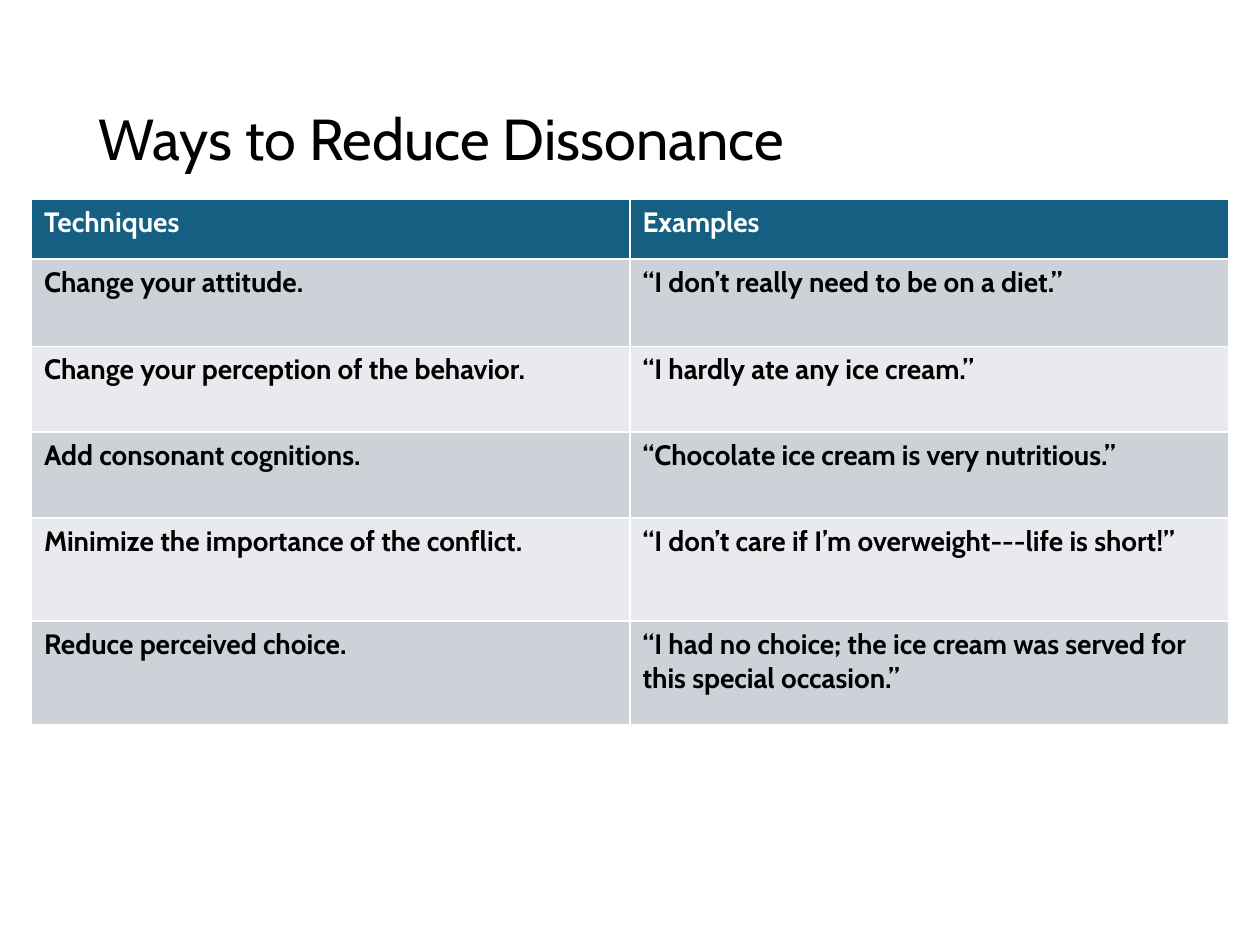
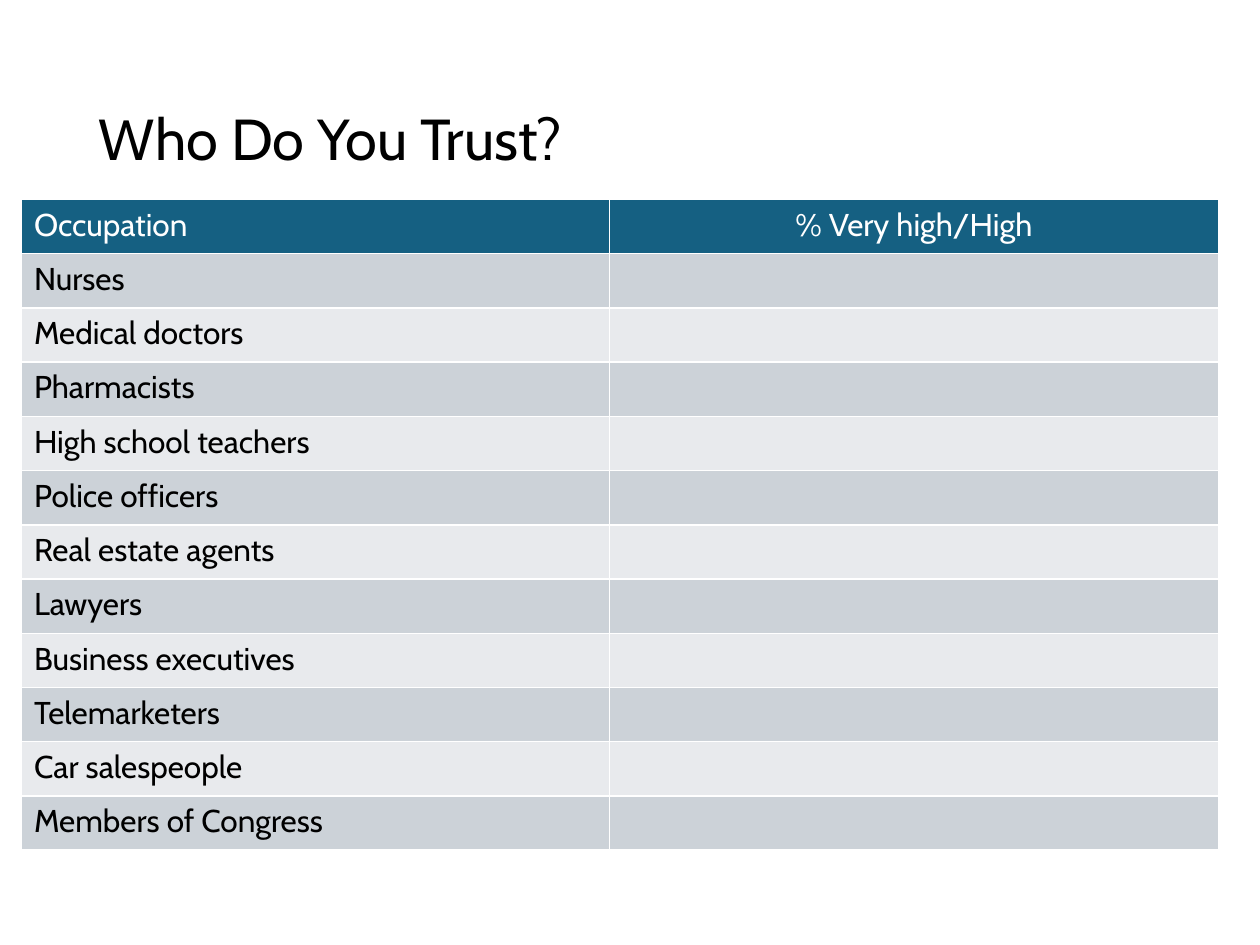
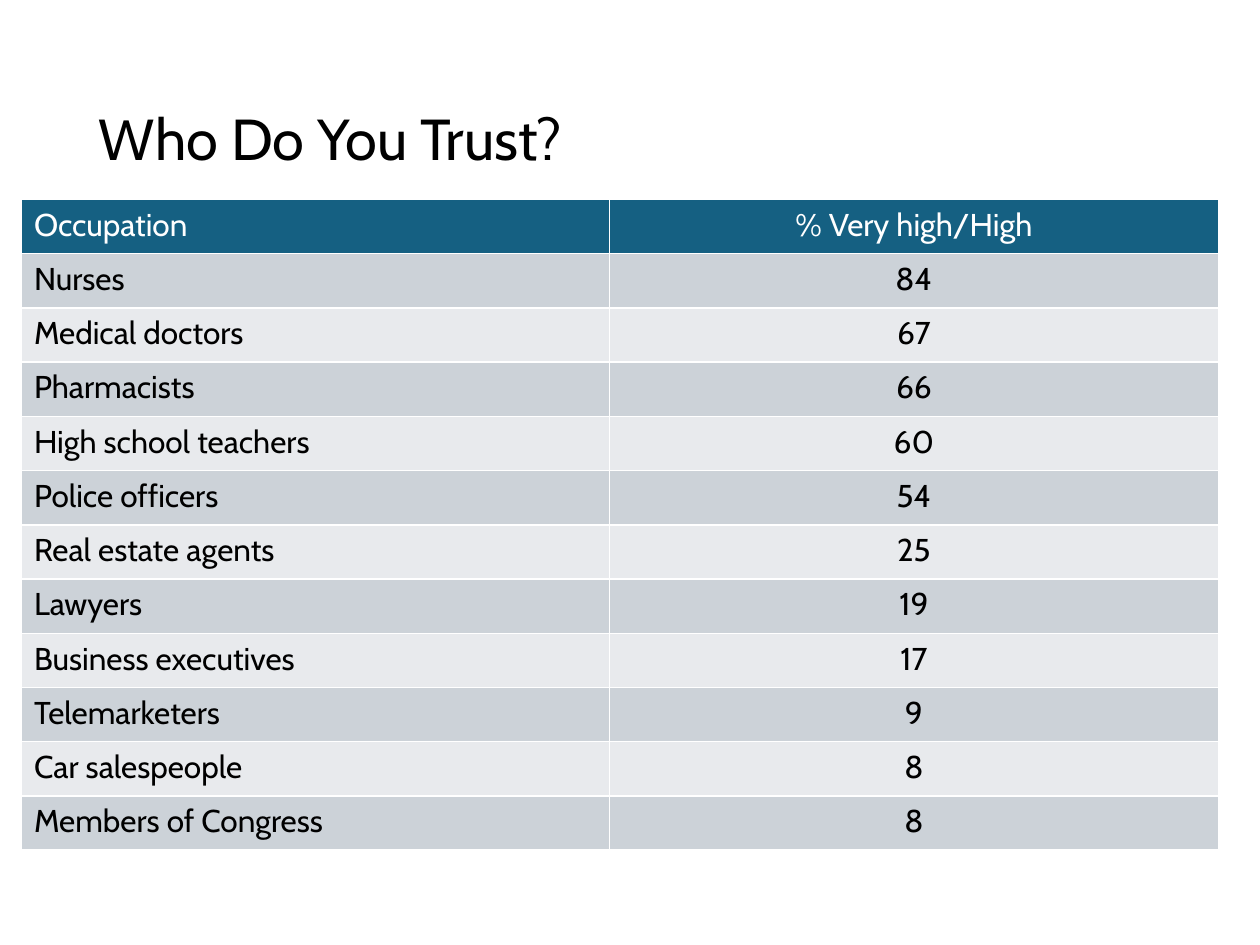
from dataclasses import dataclass

from pptx import Presentation
from pptx.dml.color import RGBColor
from pptx.enum.text import MSO_ANCHOR, PP_ALIGN
from pptx.util import Pt

LEFT, CENTER = PP_ALIGN.LEFT, PP_ALIGN.CENTER
MIDDLE = MSO_ANCHOR.MIDDLE

BLACK, WHITE = "000000", "FFFFFF"
HEADER_FILL = "156082"
BAND_FILLS = ("CCD2D8", "E8EAED")
TITLE_FORMAT = {"name": "Cabin", "size": Pt(33), "bold": False}
TECHNIQUE_FORMAT = {"name": "Cabin", "size": Pt(16), "bold": True}
TRUST_FORMAT = {"name": "Cabin", "size": Pt(18), "bold": False}
TABLE_TOP = 114

TECHNIQUES = (
    ("Techniques", "Examples"),
    ("Change your attitude.", "“I don’t really need to be on a diet.”"),
    ("Change your perception of the behavior.", "“I hardly ate any ice cream.”"),
    ("Add consonant cognitions.", "“Chocolate ice cream is very nutritious.”"),
    ("Minimize the importance of the conflict.",
     "“I don’t care if I’m overweight---life is short!”"),
    ("Reduce perceived choice.",
     "“I had no choice; the ice cream was served for this special occasion.”"),
)
TRUST_HEADER = ("Occupation", "% Very high/High")
TRUST_RATINGS = {
    "Nurses": "84",
    "Medical doctors": "67",
    "Pharmacists": "66",
    "High school teachers": "60",
    "Police officers": "54",
    "Real estate agents": "25",
    "Lawyers": "19",
    "Business executives": "17",
    "Telemarketers": "9",
    "Car salespeople": "8",
    "Members of Congress": "8",
}


@dataclass(frozen=True)
class TablePage:
    """A titled page with one banded table, measured in points."""

    title: str
    left: float
    widths: tuple
    heights: tuple
    alignments: tuple
    text_format: dict
    rows: tuple


def rgb(value: str) -> RGBColor:
    """Turn a hex string into a colour."""
    return RGBColor.from_string(value)


def write(para, text: str, text_format: dict, color: str) -> None:
    """Add one formatted span to a paragraph."""
    span = para.add_run()
    span.text = text
    for name, value in text_format.items():
        setattr(span.font, name, value)
    span.font.color.rgb = rgb(color)


def add_title(page, title: str) -> None:
    """Add the title shared by all pages."""
    box = page.shapes.add_textbox(Pt(49.5), Pt(28.75), Pt(621), Pt(104.4))
    frame = box.text_frame
    frame.word_wrap = True
    frame.vertical_anchor = MIDDLE
    para = frame.paragraphs[0]
    para.line_spacing = 0.9
    write(para, title, TITLE_FORMAT, BLACK)


def add_banded_table(page, content: TablePage) -> None:
    """Add the table with a dark header and alternating bands."""
    table = page.shapes.add_table(
        len(content.rows), len(content.widths), Pt(content.left), Pt(TABLE_TOP),
        Pt(sum(content.widths)), Pt(sum(content.heights))).table
    for column, width in zip(table.columns, content.widths):
        column.width = Pt(width)
    for index, texts in enumerate(content.rows):
        table.rows[index].height = Pt(content.heights[index])
        fill = BAND_FILLS[(index - 1) % 2] if index else HEADER_FILL
        color = BLACK if index else WHITE
        for cell, text, alignment in zip(table.rows[index].cells, texts, content.alignments):
            cell.fill.solid()
            cell.fill.fore_color.rgb = rgb(fill)
            para = cell.text_frame.paragraphs[0]
            para.alignment = alignment
            if text:
                write(para, text, content.text_format, color)


def trust_page(show_ratings: bool) -> TablePage:
    """Describe the trust survey with or without its ratings."""
    ratings = tuple((occupation, rating if show_ratings else "")
                    for occupation, rating in TRUST_RATINGS.items())
    rows = (TRUST_HEADER, *ratings)
    return TablePage("Who Do You Trust?", 12.25, (336, 348), (31,) * len(rows),
                     (LEFT, CENTER), TRUST_FORMAT, rows)


def main() -> None:
    """Build and save the deck."""
    deck = Presentation()
    deck.slide_width, deck.slide_height = Pt(720), Pt(540)
    pages = (
        TablePage("Ways to Reduce Dissonance", 18, (342, 342), (34, 50, 49, 49, 59, 59),
                  (LEFT, LEFT), TECHNIQUE_FORMAT, TECHNIQUES),
        trust_page(show_ratings=False),
        trust_page(show_ratings=True),
    )
    for content in pages:
        page = deck.slides.add_slide(deck.slide_layouts[6])
        add_title(page, content.title)
        add_banded_table(page, content)
    deck.save("out.pptx")


if __name__ == "__main__":
    main()
